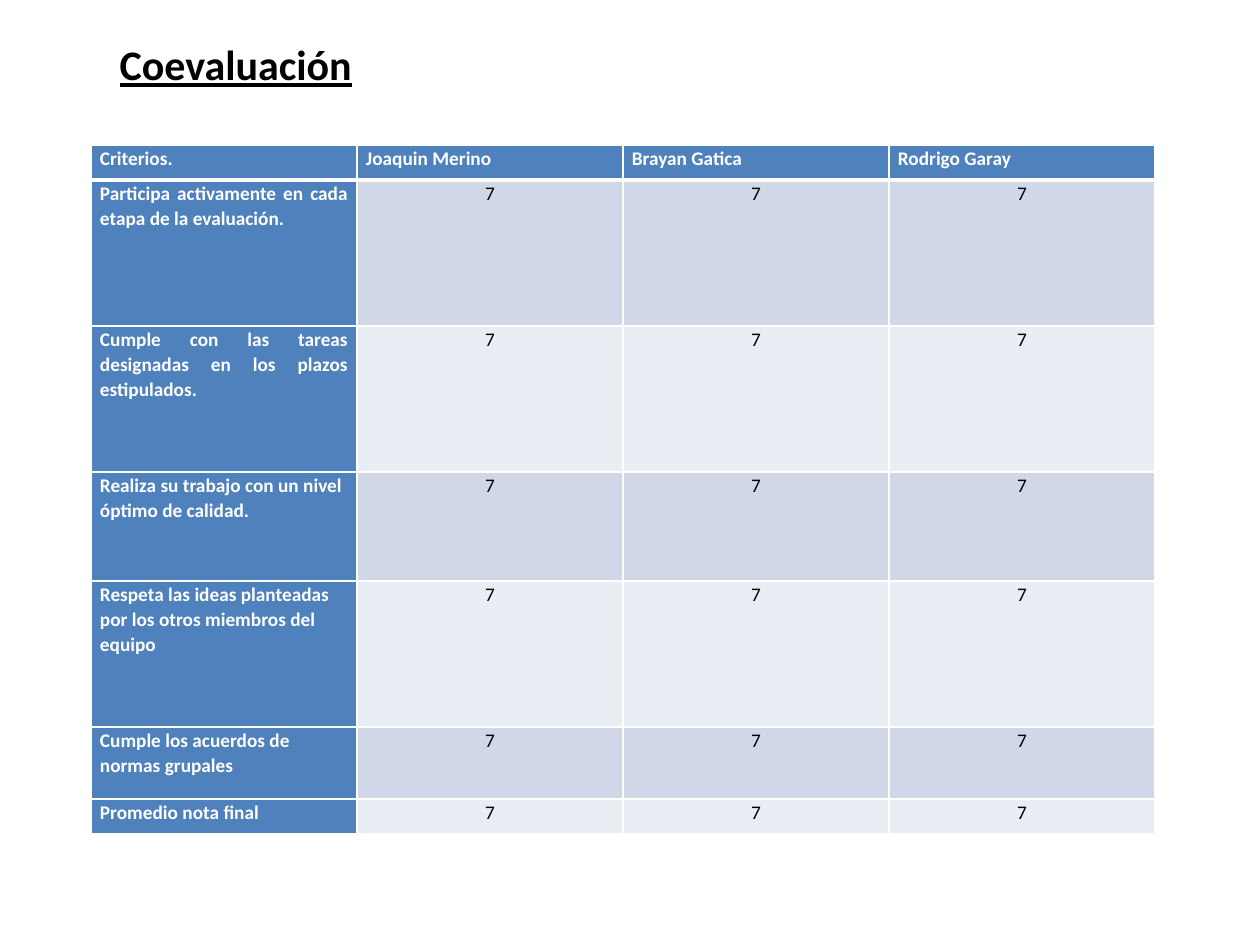
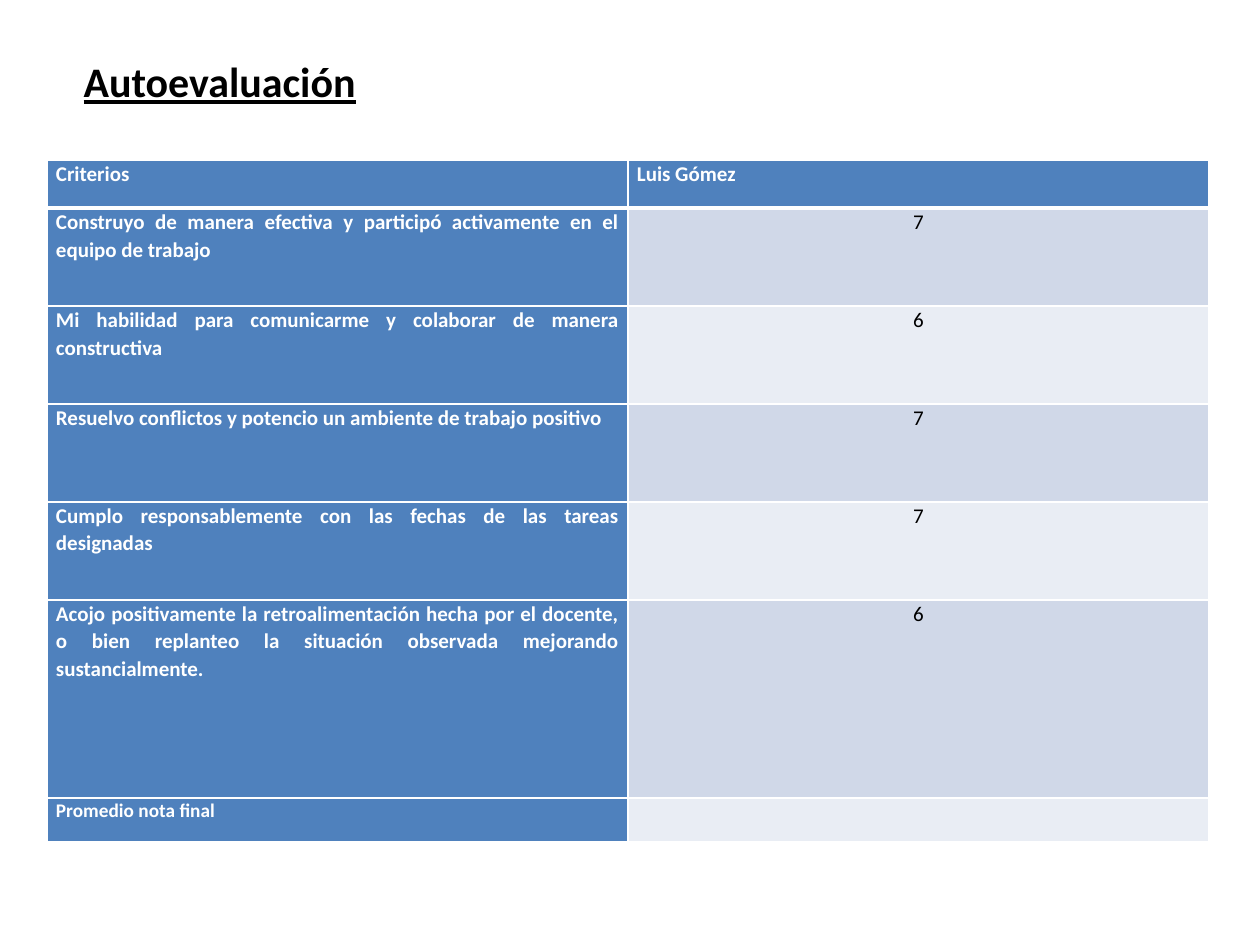
import pptx
import pptx.util
import pptx.dml.color
import pptx.enum.text
import pptx.oxml
from dataclasses import dataclass

Align = pptx.enum.text.PP_ALIGN
LEFT, CENTER, JUSTIFY = Align.LEFT, Align.CENTER, Align.JUSTIFY


@dataclass(frozen=True)
class Theme:
    font: str = "Calibri"
    title_size: int = 24
    small: int = 11
    medium: int = 12
    line_spacing: float = 1.07
    ink: str = "000000"
    paper: str = "FFFFFF"
    header: str = "4F81BD"
    bands: tuple = ("D0D8E8", "E9EDF4")
    border: int = 1
    header_border: int = 3


THEME = Theme()

# Content: rows are (criterion, alignment, height in px, grades)
EVALUATIONS = [
    {
        "title": "Coevaluación",
        "title_box": (107, 32, 523, 63),
        "table_at": (91, 145),
        "col_width": 266,
        "size": THEME.small,
        "rows": [
            ("Criterios.", LEFT, 35, ["Joaquin Merino", "Brayan Gatica", "Rodrigo Garay"]),
            ("Participa activamente en cada etapa de la evaluación.", JUSTIFY, 146, ["7"] * 3),
            ("Cumple con las tareas designadas en los plazos estipulados.", JUSTIFY, 146, ["7"] * 3),
            ("Realiza su trabajo con un nivel óptimo de calidad.", LEFT, 109, ["7"] * 3),
            ("Respeta las ideas planteadas por los otros miembros del equipo", LEFT, 146, ["7"] * 3),
            ("Cumple los acuerdos de normas grupales", LEFT, 72, ["7"] * 3),
            ("Promedio nota final", LEFT, 35, ["7"] * 3),
        ],
    },
    {
        "title": "Autoevaluación",
        "title_box": (71, 49, 499, 63),
        "table_at": (47, 160),
        "col_width": 581,
        "size": THEME.medium,
        "rows": [
            ("Criterios", LEFT, 48, ["Luis Gómez"]),
            ("Construyo de manera efectiva y participó activamente en el equipo de trabajo",
             JUSTIFY, 98, ["7"]),
            ("Mi habilidad para comunicarme y colaborar de manera constructiva",
             JUSTIFY, 98, ["6"]),
            ("Resuelvo conflictos y potencio un ambiente de trabajo positivo",
             JUSTIFY, 98, ["7"]),
            ("Cumplo responsablemente con las fechas de las tareas designadas",
             JUSTIFY, 98, ["7"]),
            ("Acojo positivamente la retroalimentación hecha por el docente, o bien replanteo "
             "la situación observada mejorando sustancialmente.", JUSTIFY, 198, ["6"]),
            ("Promedio nota final", LEFT, 44, [""]),
        ],
    },
]

PX_PER_INCH = 126


def px(n):
    return pptx.util.Inches(n / PX_PER_INCH)


def rgb(color):
    return pptx.dml.color.RGBColor.from_string(color)


def style_run(r, size, color, bold):
    r.font.name = THEME.font
    r.font.size = pptx.util.Pt(size)
    r.font.color.rgb = rgb(color)
    r.font.bold = bold


def add_title(s, text, box):
    sp = s.shapes.title
    sp.left, sp.top, sp.width, sp.height = map(px, box)
    tf = sp.text_frame
    tf.text = text
    tf.word_wrap = True
    tf.auto_size = pptx.enum.text.MSO_AUTO_SIZE.NONE
    tf.vertical_anchor = pptx.enum.text.MSO_ANCHOR.TOP
    p = tf.paragraphs[0]
    p.alignment = LEFT
    style_run(p.runs[0], THEME.title_size, THEME.ink, True)
    p.runs[0].font.underline = True


def set_borders(cell, top, bottom):
    tc_pr = cell._tc.get_or_add_tcPr()
    widths = {"lnL": THEME.border, "lnR": THEME.border, "lnT": top, "lnB": bottom}
    for i, (tag, width) in enumerate(widths.items()):
        tc_pr.insert(i, pptx.oxml.parse_xml(
            f'<a:{tag} xmlns:a="http://schemas.openxmlformats.org/drawingml/2006/main" '
            f'w="{pptx.util.Pt(width)}"><a:solidFill><a:srgbClr val="{THEME.paper}"/>'
            f'</a:solidFill></a:{tag}>'))


def fill_cell(cell, text, align, size, fill, heading):
    cell.margin_left = cell.margin_right = px(9)
    cell.margin_top = cell.margin_bottom = 0
    cell.fill.solid()
    cell.fill.fore_color.rgb = rgb(fill)
    if not text:
        return
    cell.text_frame.text = text
    p = cell.text_frame.paragraphs[0]
    p.alignment = align
    p.line_spacing = THEME.line_spacing
    style_run(p.runs[0], size, THEME.paper if heading else THEME.ink, heading)


def add_grades(s, evaluation):
    rows = evaluation["rows"]
    n_cols = 1 + len(rows[0][3])
    col_width = evaluation["col_width"]
    left, top = evaluation["table_at"]
    height = sum(row[2] for row in rows)
    table = s.shapes.add_table(len(rows), n_cols, px(left), px(top),
                               px(col_width * n_cols), px(height)).table
    for col in table.columns:
        col.width = px(col_width)
    for i, (criterion, align, row_height, grades) in enumerate(rows):
        table.rows[i].height = px(row_height)
        # The closing average row always uses the small size
        size = THEME.small if i == len(rows) - 1 else evaluation["size"]
        for j, text in enumerate([criterion, *grades]):
            heading = i == 0 or j == 0
            fill = THEME.header if heading else THEME.bands[(i - 1) % 2]
            cell = table.cell(i, j)
            fill_cell(cell, text, align if heading and j == 0 else LEFT if heading else CENTER,
                      size, fill, heading)
            set_borders(cell, THEME.header_border if i == 1 else THEME.border,
                        THEME.header_border if i == 0 else THEME.border)


def main():
    prs = pptx.Presentation()
    prs.slide_width, prs.slide_height = px(1260), px(945)
    title_only = prs.slide_layouts[5]
    for evaluation in EVALUATIONS:
        s = prs.slides.add_slide(title_only)
        add_title(s, evaluation["title"], evaluation["title_box"])
        add_grades(s, evaluation)
    prs.save("out.pptx")


if __name__ == "__main__":
    main()
